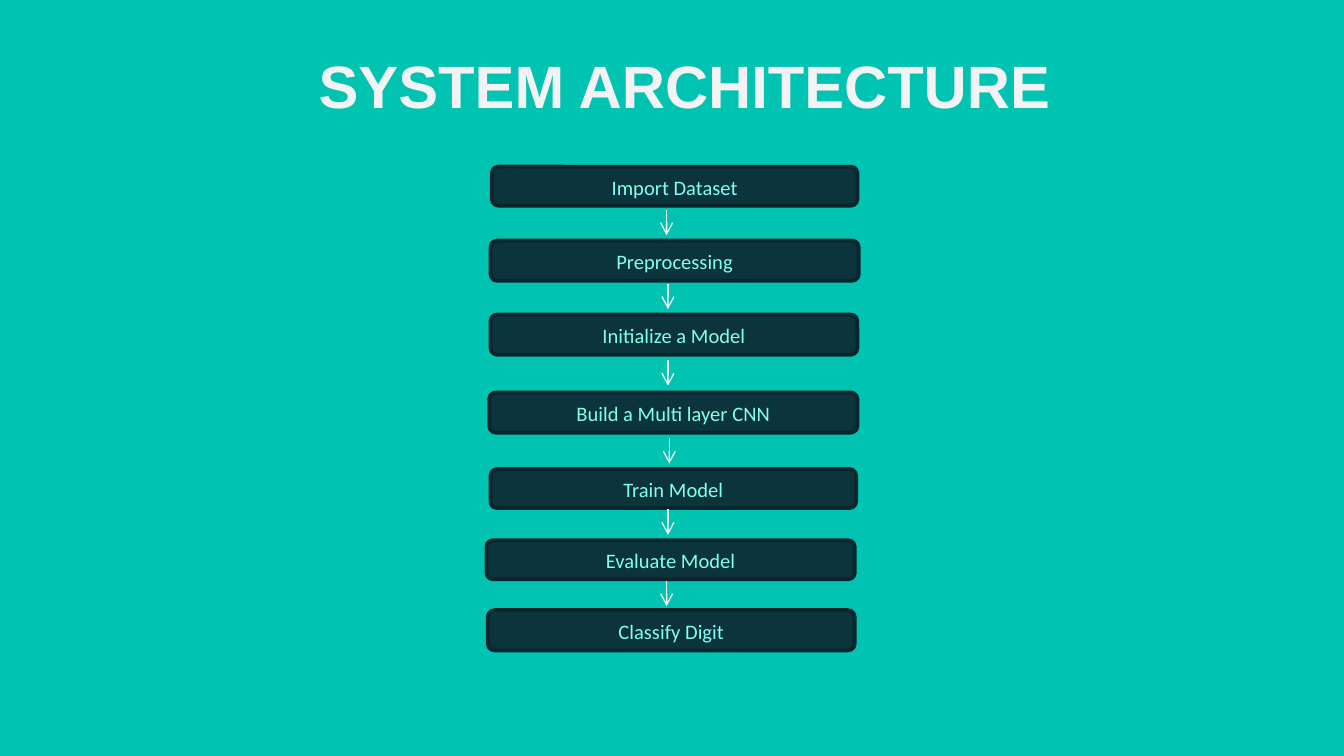
from lxml import etree
from pptx import Presentation
from pptx import util as u
from pptx.dml.color import RGBColor
from pptx.enum import shapes, text
from pptx.oxml.ns import qn

WIDTH = 10
HEIGHT = WIDTH * 9 / 16
COLORS = {
    "background": "00C3B1",
    "box": "0C343D",
    "border": "09262D",
    "label": "81FFF3",
    "light": "F3F3F3",
}
ARROW_LENGTH = 0.19

# Label, box (left, top, width, height), start of the arrow that leaves it
STEPS = [
    ("Import Dataset", (3.66, 1.24, 2.72, 0.29), (4.96, 1.56)),
    ("Preprocessing", (3.65, 1.79, 2.74, 0.3), (4.97, 2.11)),
    ("Initialize a Model", (3.65, 2.34, 2.73, 0.3), (4.97, 2.68)),
    ("Build a Multi layer CNN", (3.64, 2.92, 2.74, 0.3), (4.98, 3.26)),
    ("Train Model", (3.65, 3.49, 2.72, 0.29), (4.97, 3.79)),
    ("Evaluate Model", (3.62, 4.02, 2.74, 0.29), (4.96, 4.32)),
    ("Classify Digit", (3.63, 4.54, 2.73, 0.3), None),
]


def color(name):
    return RGBColor.from_string(COLORS[name])


def set_attributes(target, values):
    for name, value in values.items():
        setattr(target, name, value)


def paint(fill, name):
    fill.solid()
    fill.fore_color.rgb = color(name)


def write(shape, wording, font, color_name, paragraph_format):
    """Put one centred, formatted paragraph into the shape."""
    paragraph = shape.text_frame.paragraphs[0]
    set_attributes(paragraph, {"alignment": text.PP_ALIGN.CENTER, **paragraph_format})
    run = paragraph.add_run()
    run.text = wording
    set_attributes(run.font, font)
    run.font.color.rgb = color(color_name)


def add_title(slide, wording):
    title = slide.shapes.title
    set_attributes(title, {
        "left": u.Inches(0.88), "top": u.Inches(0.26),
        "width": u.Inches(8.43), "height": u.Inches(0.66),
    })
    inset = u.Inches(0.1)
    set_attributes(title.text_frame, {
        "margin_left": inset, "margin_top": inset,
        "margin_right": inset, "margin_bottom": inset,
        "vertical_anchor": text.MSO_ANCHOR.TOP,
        "auto_size": text.MSO_AUTO_SIZE.NONE,
        "word_wrap": True,
    })
    write(title, wording, {"name": "Arial", "size": u.Pt(32), "bold": True},
          "light", {"line_spacing": 1.0, "space_before": u.Pt(0)})


def add_step(slide, label, frame):
    box = slide.shapes.add_shape(
        shapes.MSO_SHAPE.ROUNDED_RECTANGLE, *map(u.Inches, frame))
    box.shadow.inherit = False
    paint(box.fill, "box")
    paint(box.line.fill, "border")
    box.line.width = u.Pt(2)
    set_attributes(box.text_frame, {
        "vertical_anchor": text.MSO_ANCHOR.MIDDLE, "word_wrap": True,
    })
    write(box, label, {"name": "Calibri", "size": u.Pt(11)}, "label",
          {"line_spacing": 1.08, "space_after": u.Pt(8)})


def add_down_arrow(slide, x, y):
    arrow = slide.shapes.add_connector(
        shapes.MSO_CONNECTOR.STRAIGHT,
        *map(u.Inches, (x, y, x, y + ARROW_LENGTH)))
    paint(arrow.line.fill, "light")
    arrow.line.width = u.Pt(0.75)
    properties = arrow.element.spPr
    line = properties.find(qn("a:ln"))
    etree.SubElement(line, qn("a:tailEnd"), type="arrow")
    etree.SubElement(properties, qn("a:effectLst"))


def main():
    presentation = Presentation()
    set_attributes(presentation, {
        "slide_width": u.Inches(WIDTH), "slide_height": u.Inches(HEIGHT),
    })
    slide = presentation.slides.add_slide(presentation.slide_layouts[5])
    paint(slide.background.fill, "background")
    add_title(slide, "SYSTEM ARCHITECTURE")
    for label, frame, arrow_start in STEPS:
        add_step(slide, label, frame)
        if arrow_start:
            add_down_arrow(slide, *arrow_start)
    presentation.save("out.pptx")


if __name__ == "__main__":
    main()
